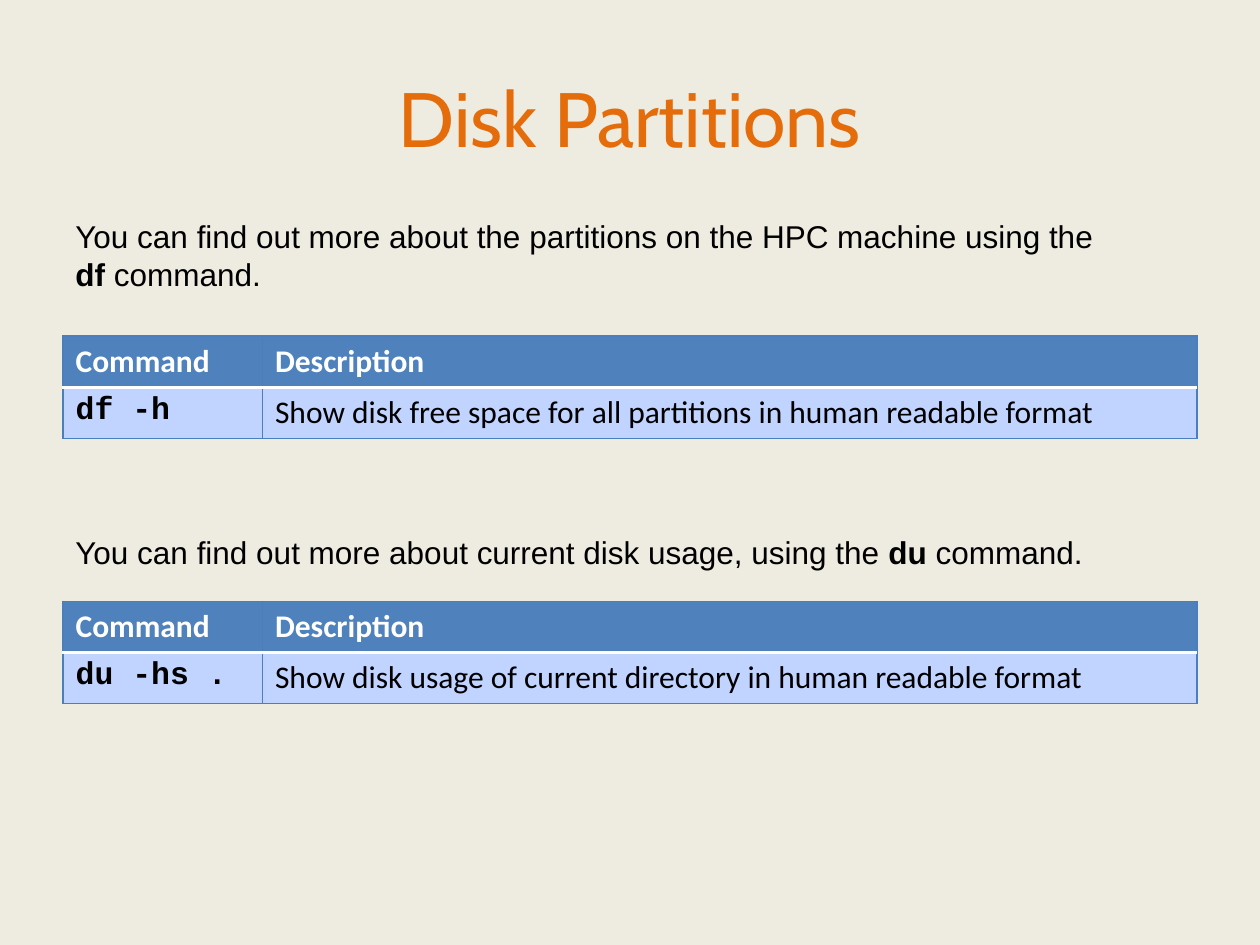
import pptx
import pptx.dml.color
import pptx.enum.text
import pptx.oxml.ns
import pptx.util
from lxml import etree

Pt = pptx.util.Pt
RGBColor = pptx.dml.color.RGBColor

BACKGROUND = RGBColor(0xEE, 0xEC, 0xE1)
ORANGE = RGBColor(0xE4, 0x6C, 0x0A)
HEADER_BLUE = RGBColor(0x4F, 0x81, 0xBD)
ROW_BLUE = RGBColor(0xC0, 0xD4, 0xFF)
BORDER_BLUE = RGBColor(0x4B, 0x7E, 0xBC)
WHITE = RGBColor(0xFF, 0xFF, 0xFF)
BLACK = RGBColor(0, 0, 0)

LEFT = 36
TITLE_ONLY_LAYOUT = 5
COLUMN_WIDTHS = (114, 534)
ROW_HEIGHT = 29.2
HEADINGS = ("Command", "Description")


class SlideBuilder:
    """Holds the text style and the slide being filled."""

    text_size = 18
    text_font = "Arial"
    table_font = "Calibri"
    code_font = "Courier New"

    def __init__(self, presentation):
        layout = presentation.slide_layouts[TITLE_ONLY_LAYOUT]
        self.slide = presentation.slides.add_slide(layout)
        fill = self.slide.background.fill
        fill.solid()
        fill.fore_color.rgb = BACKGROUND

    def format_run(self, run, font, color=BLACK, bold=False, size=text_size):
        run.font.name = font
        run.font.size = Pt(size)
        run.font.bold = bold
        run.font.color.rgb = color

    def title(self, text):
        shape = self.slide.shapes.title
        shape.left, shape.top = Pt(LEFT), Pt(21.6)
        shape.width, shape.height = Pt(648), Pt(90)
        text_frame = shape.text_frame
        text_frame.text = text
        text_frame.vertical_anchor = pptx.enum.text.MSO_ANCHOR.MIDDLE
        paragraph = text_frame.paragraphs[0]
        paragraph.alignment = pptx.enum.text.PP_ALIGN.CENTER
        self.format_run(paragraph.runs[0], "Cabin", ORANGE, size=44)

    def introduction(self, top, height, opening, command):
        """Add a sentence that ends with a bold command name."""
        shape = self.slide.shapes.add_textbox(Pt(LEFT), Pt(top), Pt(606), Pt(height))
        shape.text_frame.word_wrap = True
        paragraph = shape.text_frame.paragraphs[0]
        for text, bold in ((opening, False), (command + " ", True), ("command.", False)):
            run = paragraph.add_run()
            run.text = text
            self.format_run(run, self.text_font, bold=bold)

    def border(self, cell, side, color, width):
        properties = cell._tc.get_or_add_tcPr()
        qn = pptx.oxml.ns.qn
        line = etree.SubElement(properties, qn(f"a:ln{side}"), w=str(Pt(width)))
        fill = etree.SubElement(line, qn("a:solidFill"))
        etree.SubElement(fill, qn("a:srgbClr"), val=str(color))

    def command_table(self, top, command, description):
        rows = (HEADINGS, (command, description))
        table = self.slide.shapes.add_table(
            len(rows), len(COLUMN_WIDTHS), Pt(LEFT), Pt(top),
            Pt(sum(COLUMN_WIDTHS)), Pt(ROW_HEIGHT * len(rows))).table
        for column, width in zip(table.columns, COLUMN_WIDTHS):
            column.width = Pt(width)
        for row_index, texts in enumerate(rows):
            table.rows[row_index].height = Pt(ROW_HEIGHT)
            for column_index, text in enumerate(texts):
                self.table_cell(table.cell(row_index, column_index), text,
                                is_header=row_index == 0,
                                is_command=column_index == 0)

    def table_cell(self, cell, text, is_header, is_command):
        divider, outer = (WHITE, 2), (BORDER_BLUE, 0.75)
        self.border(cell, "L", *outer)
        self.border(cell, "R", *outer)
        self.border(cell, "T", *(outer if is_header else divider))
        self.border(cell, "B", *(divider if is_header else outer))
        cell.fill.solid()
        cell.fill.fore_color.rgb = HEADER_BLUE if is_header else ROW_BLUE
        cell.text_frame.text = text
        is_code = is_command and not is_header
        self.format_run(cell.text_frame.paragraphs[0].runs[0],
                        self.code_font if is_code else self.table_font,
                        WHITE if is_header else BLACK,
                        bold=is_header or is_command)


def main():
    presentation = pptx.Presentation()
    presentation.slide_width, presentation.slide_height = Pt(720), Pt(540)
    builder = SlideBuilder(presentation)
    builder.title("Disk Partitions")
    builder.command_table(
        192, "df -h",
        "Show disk free space for all partitions in human readable format")
    builder.introduction(
        120.4, 50.4,
        "You can find out more about the partitions on the HPC machine using the ", "df")
    builder.command_table(
        343.6, "du -hs .",
        "Show disk usage of current directory in human readable format")
    builder.introduction(
        301.2, 28.8,
        "You can find out more about current disk usage, using the ", "du")
    presentation.save("out.pptx")


if __name__ == "__main__":
    main()
